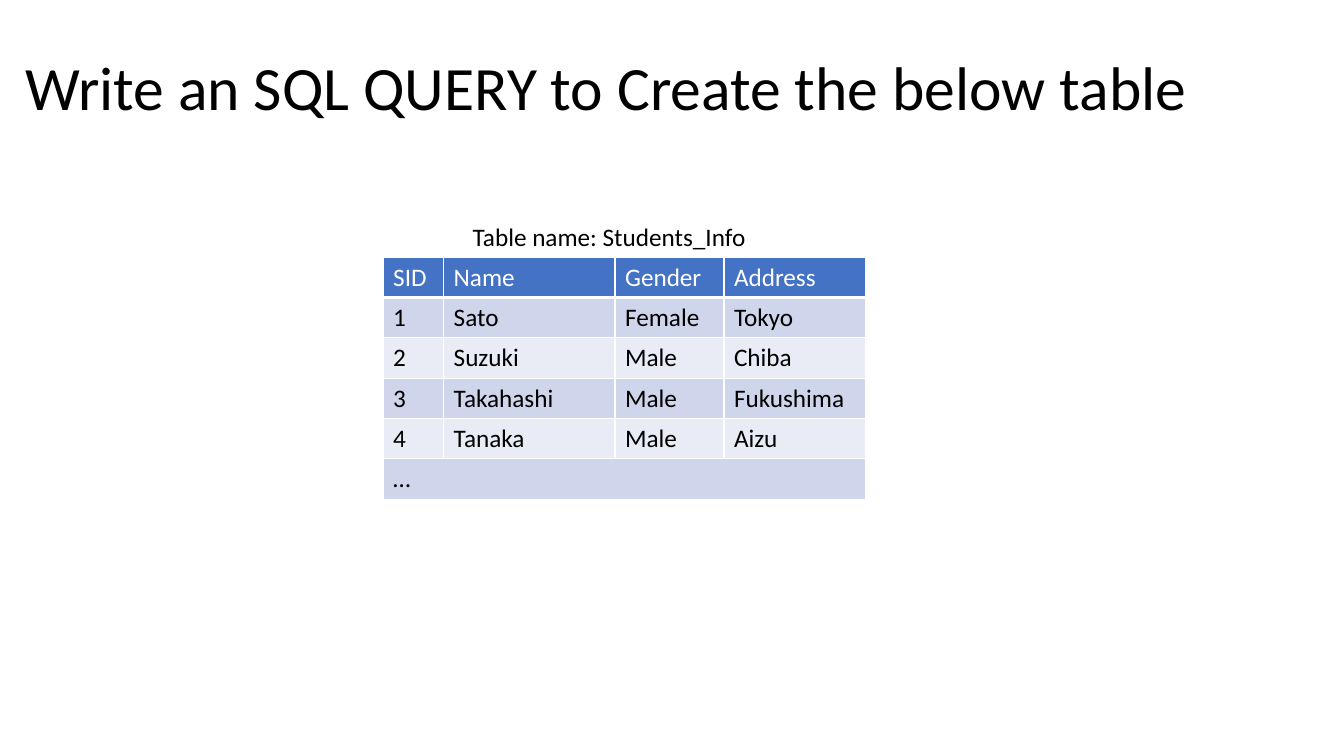
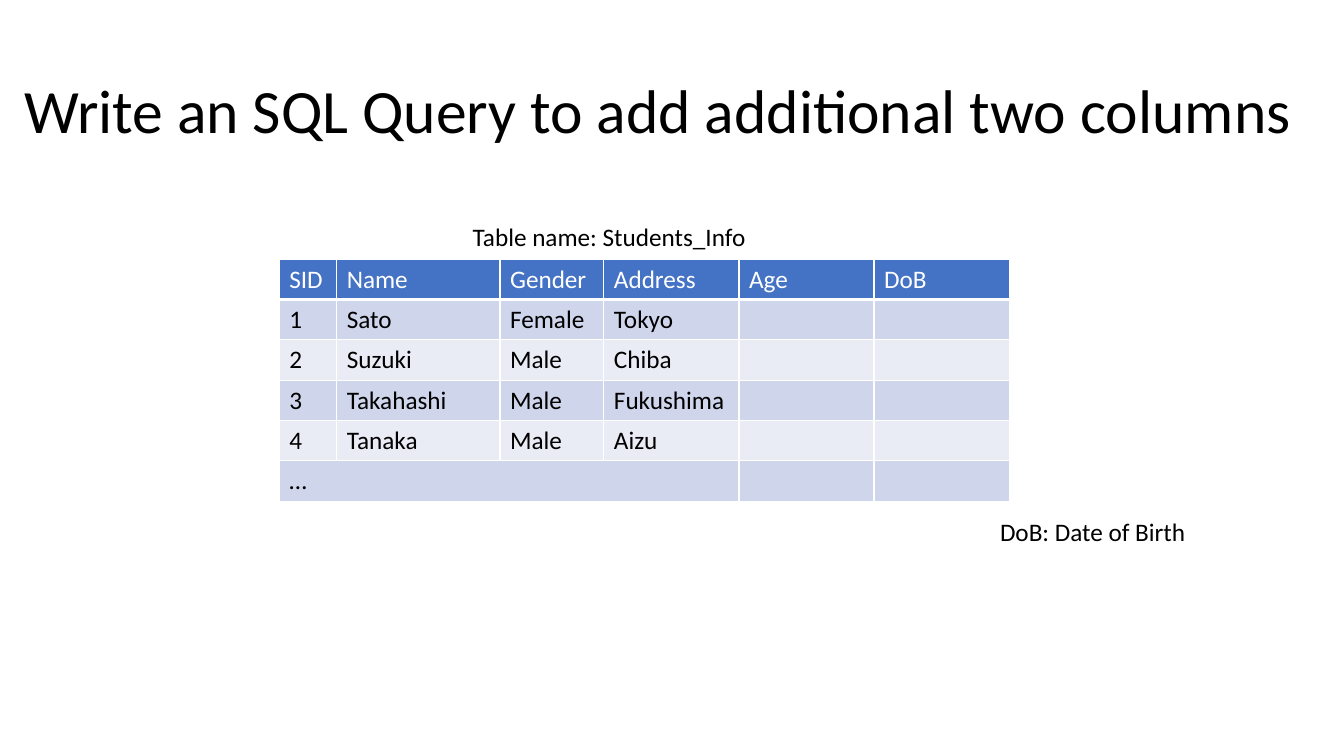
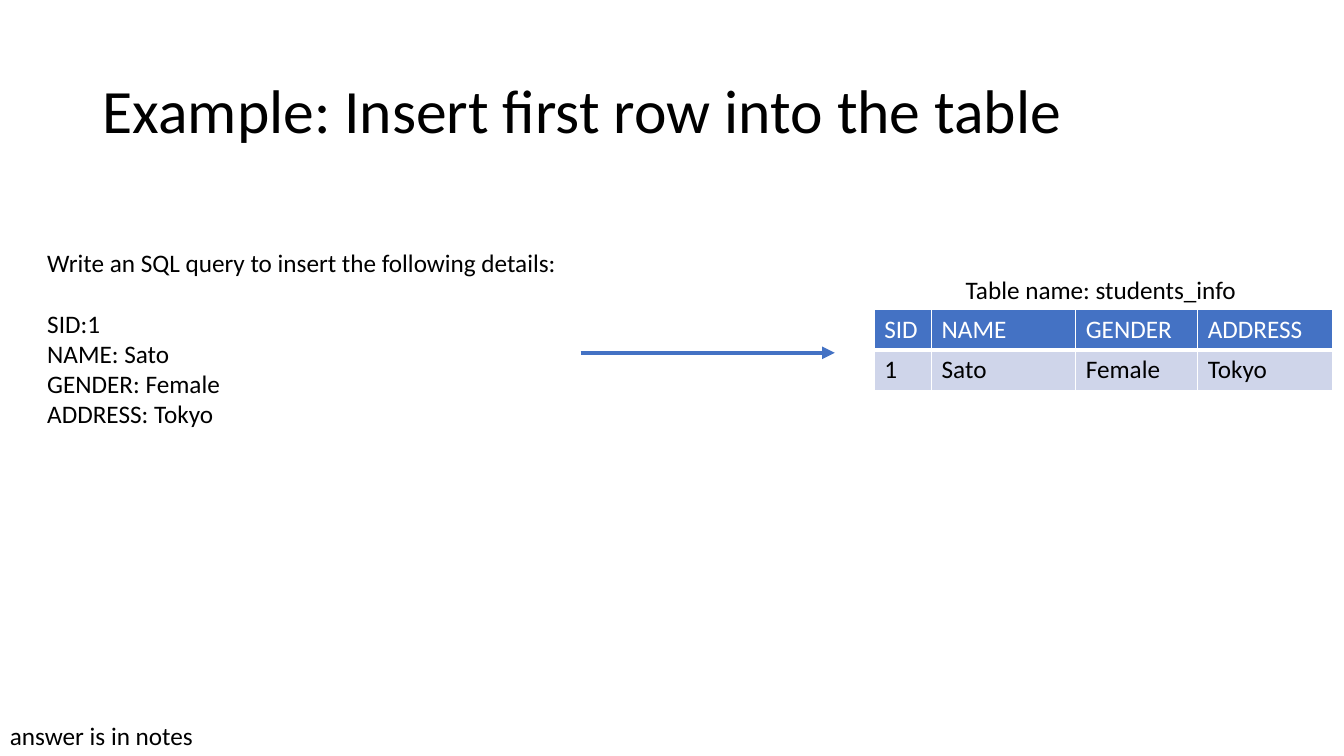
from lxml.etree import SubElement
from pptx import Presentation
from pptx.dml.color import RGBColor
from pptx.enum.shapes import MSO_CONNECTOR
from pptx.enum.text import MSO_ANCHOR, MSO_AUTO_SIZE
from pptx.oxml.ns import qn
from pptx.util import Inches, Pt

# Shared style
FONT = "Calibri"
BLACK, WHITE, BLUE = "000000", "FFFFFF", "4472C4"
BANDS = ("CFD5EA", "E9EBF5")
TITLE_H, LINE_H, ROW_H = 1.45, 0.4, 0.4

# Content
FIELDS = ["SID", "Name", "Gender", "Address"]
STUDENTS = [
    ["1", "Sato", "Female", "Tokyo"],
    ["2", "Suzuki", "Male", "Chiba"],
    ["3", "Takahashi", "Male", "Fukushima"],
    ["4", "Tanaka", "Male", "Aizu"],
]
MORE = ["…"]
CAPTION = ("Table name: Students_Info", 4.59, 2.15, 2.94)
DETAILS = [f"{field.upper()}:{gap}{value}" for field, gap, value
           in zip(FIELDS, ("", " ", " ", " "), STUDENTS[0])]

SLIDES = [
    dict(title=("Write an SQL QUERY to Create the below table", 0.15, 0.17, 12.35),
         table=dict(left=3.8, top=2.55, widths=[0.6, 1.7, 1.08, 1.41],
                    rows=[FIELDS, *STUDENTS, MORE], span=4),
         labels=[CAPTION]),
    dict(title=("Write an SQL Query to add additional two columns", 0.14, 0.4, 13.1),
         table=dict(left=2.77, top=2.57, widths=[0.57, 1.62, 1.03] + [1.34] * 3,
                    rows=[FIELDS + ["Age", "DoB"], *STUDENTS, MORE], span=4),
         labels=[CAPTION, ("DoB: Date of Birth", 9.82, 5.07, 2.06)]),
    dict(title=("Example: Insert first row into the table", 0.92, 0.4, 11.5),
         table=dict(left=8.67, top=3.07, widths=[0.57, 1.43, 1.21, 1.34],
                    rows=[[f.upper() for f in FIELDS], STUDENTS[0]]),
         labels=[("Table name: students_info", 9.48, 2.67, 2.94),
                 ("answer is in notes", 0, 7.1, 2.07)],
         details=["Write an SQL query to insert the following details:", *DETAILS],
         arrow=(5.76, 8.28, 3.5)),
]


def rgb(color):
    return RGBColor.from_string(color)


def write(tf, lines, size=18, color=BLACK, spacing=None, gap_after_first=0):
    for i, line in enumerate(lines):
        p = tf.paragraphs[0] if i == 0 else tf.add_paragraph()
        if spacing:
            p.line_spacing = spacing
        if i == 1 and gap_after_first:
            p.space_before = Pt(gap_after_first)
        r = p.add_run()
        r.text = line
        r.font.name, r.font.size, r.font.bold = FONT, Pt(size), False
        r.font.color.rgb = rgb(color)


def add_text(s, lines, left, top, width, height=LINE_H, wrap=False, **fmt):
    tf = s.shapes.add_textbox(*map(Inches, (left, top, width, height))).text_frame
    tf.word_wrap = wrap
    if wrap:
        tf.vertical_anchor = MSO_ANCHOR.MIDDLE
    else:
        tf.auto_size = MSO_AUTO_SIZE.SHAPE_TO_FIT_TEXT
    write(tf, lines, **fmt)


def set_borders(cell, top=1, bottom=1):
    tcPr = cell._tc.get_or_add_tcPr()
    for side, width in (("L", 1), ("R", 1), ("T", top), ("B", bottom)):
        ln = SubElement(tcPr, qn(f"a:ln{side}"), w=str(Pt(width)))
        fill = SubElement(ln, qn("a:solidFill"))
        SubElement(fill, qn("a:srgbClr"), val=WHITE)


def add_table(s, left, top, widths, rows, span=0):
    size = (sum(widths), ROW_H * len(rows))
    table = s.shapes.add_table(len(rows), len(widths),
                               *map(Inches, (left, top, *size))).table
    for column, width in zip(table.columns, widths):
        column.width = Inches(width)
    for i, row in enumerate(rows):
        for j in range(len(widths)):
            cell = table.cell(i, j)
            set_borders(cell, top=3 if i == 1 else 1, bottom=3 if i == 0 else 1)
            cell.fill.solid()
            cell.fill.fore_color.rgb = rgb(BANDS[(i - 1) % 2] if i else BLUE)
            if j < len(row):
                write(cell.text_frame, [row[j]], color=BLACK if i else WHITE)
    if span:
        last = len(rows) - 1
        table.cell(last, 0).merge(table.cell(last, span - 1))


def add_arrow(s, start, end, y):
    arrow = s.shapes.add_connector(MSO_CONNECTOR.STRAIGHT,
                                   *map(Inches, (start, y, end, y)))
    arrow.line.color.rgb = rgb(BLUE)
    arrow.line.width = Pt(3)
    SubElement(arrow.line._get_or_add_ln(), qn("a:tailEnd"), type="triangle")
    SubElement(arrow._element.spPr, qn("a:effectLst"))


def main():
    prs = Presentation()
    prs.slide_width, prs.slide_height = Inches(13.33), Inches(7.5)
    for content in SLIDES:
        s = prs.slides.add_slide(prs.slide_layouts[6])
        title, *place = content["title"]
        add_text(s, [title], *place, TITLE_H, wrap=True, size=44, spacing=0.9)
        add_table(s, **content["table"])
        for label, *place in content["labels"]:
            add_text(s, [label], *place)
        if "details" in content:
            add_text(s, content["details"], 0.37, 2.4, 5.31, 1.92, gap_after_first=22)
        if "arrow" in content:
            add_arrow(s, *content["arrow"])
    prs.save("out.pptx")


if __name__ == "__main__":
    main()
